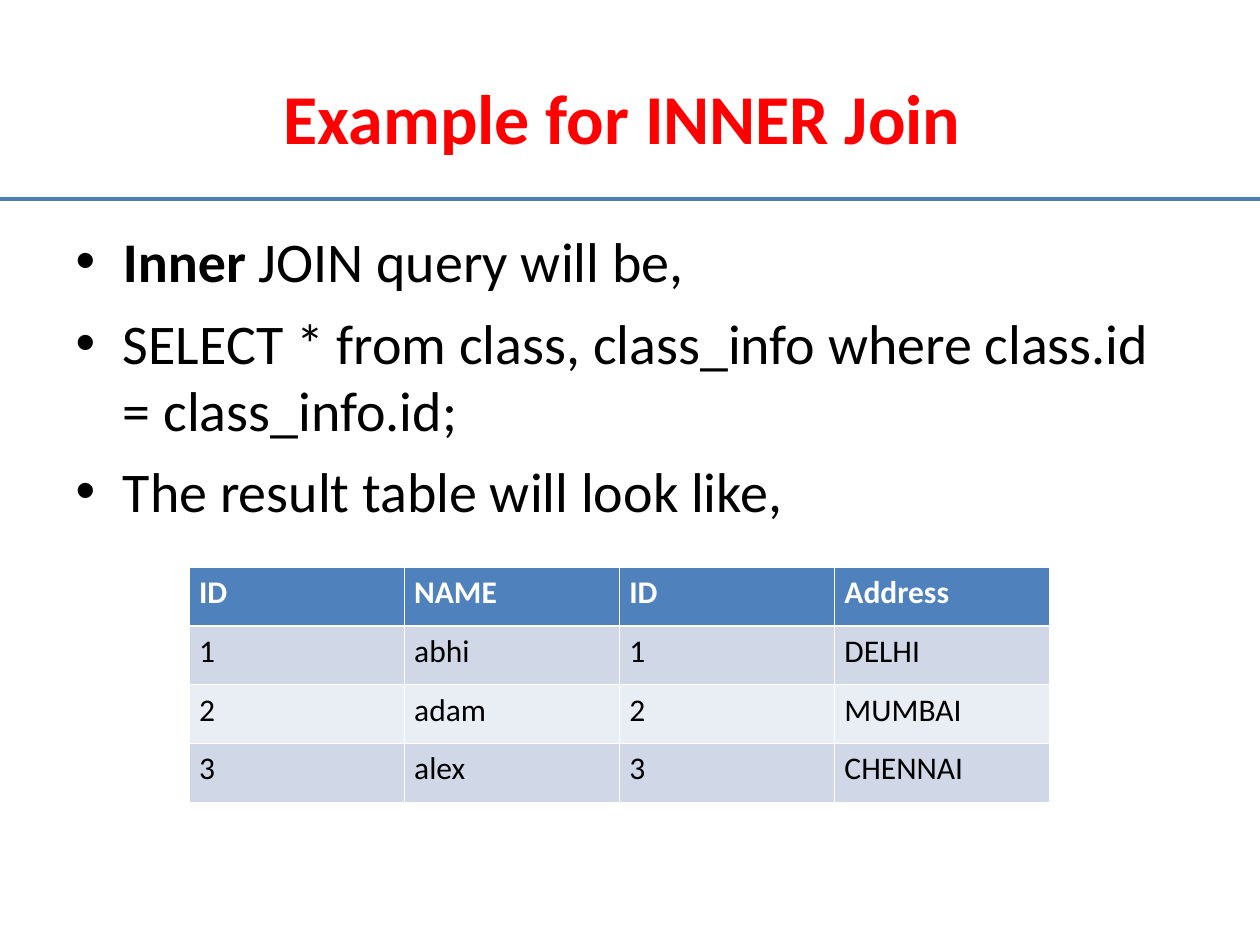
from dataclasses import dataclass

from lxml.etree import SubElement
from pptx import Presentation
from pptx.dml.color import RGBColor as RGB
from pptx.enum.shapes import MSO_CONNECTOR as Connector
from pptx.enum.text import MSO_ANCHOR as Anchor, MSO_AUTO_SIZE as AutoSize, PP_ALIGN as Align
from pptx.oxml import parse_xml
from pptx.oxml.ns import nsdecls, qn
from pptx.util import Inches, Pt


@dataclass(frozen=True)
class Theme:
    font: str = "Calibri"
    title_size: int = 40
    body_size: int = 32
    table_size: int = 18
    title: str = "FF0000"
    text: str = "000000"
    rule: str = "4A7EBB"
    header_fill: str = "4F81BD"
    header_text: str = "FFFFFF"
    band_fills: tuple = ("D0D8E8", "E9EDF4")
    border: str = "FFFFFF"
    thin: float = 0.45
    thick: float = 1.47


class SlideBuilder:
    def __init__(self, slide, theme):
        self.slide = slide
        self.theme = theme

    def style(self, paragraph, size, color, bold=None):
        font = paragraph.font
        font.name, font.size, font.bold = self.theme.font, Pt(size), bold
        font.color.rgb = RGB.from_string(color)

    def place(self, placeholder, left, top, width, height):
        placeholder.left, placeholder.top = Inches(left), Inches(top)
        placeholder.width, placeholder.height = Inches(width), Inches(height)
        frame = placeholder.text_frame
        frame.word_wrap, frame.auto_size = True, AutoSize.NONE
        return frame

    def title(self, text, *box):
        frame = self.place(self.slide.shapes.title, *box)
        frame.vertical_anchor = Anchor.MIDDLE
        heading = frame.paragraphs[0]
        heading.text, heading.alignment = text, Align.CENTER
        self.style(heading, self.theme.title_size, self.theme.title, True)

    def bullets(self, items, *box):
        """Each item is a pair: a bold lead, which may be empty, and the rest."""
        frame = self.place(self.slide.placeholders[1], *box)
        for index, (lead, rest) in enumerate(items):
            bullet = frame.add_paragraph() if index else frame.paragraphs[0]
            bullet.space_before = Pt(8 if index else 0)
            if lead:
                lead_run = bullet.add_run()
                lead_run.text, lead_run.font.bold = lead, True
            bullet.add_run().text = rest
            self.style(bullet, self.theme.body_size, self.theme.text)

    def rule(self, left, top, right, width):
        line = self.slide.shapes.add_connector(
            Connector.STRAIGHT, Inches(left), Inches(top), Inches(right), Inches(top))
        line.line.color.rgb = RGB.from_string(self.theme.rule)
        line.line.width = Pt(width)
        SubElement(line._element.spPr, qn("a:effectLst"))

    def borders(self, cell, top, bottom):
        """Outline a cell; top and bottom are line widths in points."""
        sides = {"L": self.theme.thin, "R": self.theme.thin, "T": top, "B": bottom}
        properties = cell._tc.get_or_add_tcPr()
        for position, (side, width) in enumerate(sides.items()):
            properties.insert(position, parse_xml(
                f'<a:ln{side} {nsdecls("a")} w="{Pt(width)}"><a:solidFill>'
                f'<a:srgbClr val="{self.theme.border}"/></a:solidFill></a:ln{side}>'))

    def table(self, rows, left, top, width, height):
        theme = self.theme
        grid = self.slide.shapes.add_table(
            len(rows), len(rows[0]), Inches(left), Inches(top),
            Inches(width), Inches(height)).table
        for r, values in enumerate(rows):
            header = r == 0
            fill = theme.header_fill if header else theme.band_fills[(r - 1) % 2]
            color = theme.header_text if header else theme.text
            for c, value in enumerate(values):
                cell = grid.cell(r, c)
                cell.text = value
                cell.margin_left = cell.margin_right = Inches(0.08)
                cell.margin_top = cell.margin_bottom = Inches(0.05)
                cell.fill.solid()
                cell.fill.fore_color.rgb = RGB.from_string(fill)
                self.style(cell.text_frame.paragraphs[0], theme.table_size, color, header)
                self.borders(cell, top=theme.thick if r == 1 else theme.thin,
                             bottom=theme.thick if header else theme.thin)


def main():
    deck = Presentation()
    deck.slide_width, deck.slide_height = Inches(10), Inches(7.5)
    builder = SlideBuilder(deck.slides.add_slide(deck.slide_layouts[1]), Theme())

    builder.rule(0, 1.58, 10, 2)
    builder.title("Example for INNER Join ", 0.5, 0.3, 9, 1.25)
    builder.bullets([
        ("Inner", " JOIN query will be,"),
        ("", "SELECT * from class, class_info where class.id = class_info.id;"),
        ("", "The result table will look like,"),
    ], 0.5, 1.75, 9, 4.95)
    builder.table([
        ("ID", "NAME", "ID", "Address"),
        ("1", "abhi", "1", "DELHI"),
        ("2", "adam", "2", "MUMBAI"),
        ("3", "alex", "3", "CHENNAI"),
    ], 1.5, 4.5, 6.83, 1.87)

    deck.save("out.pptx")


if __name__ == "__main__":
    main()
